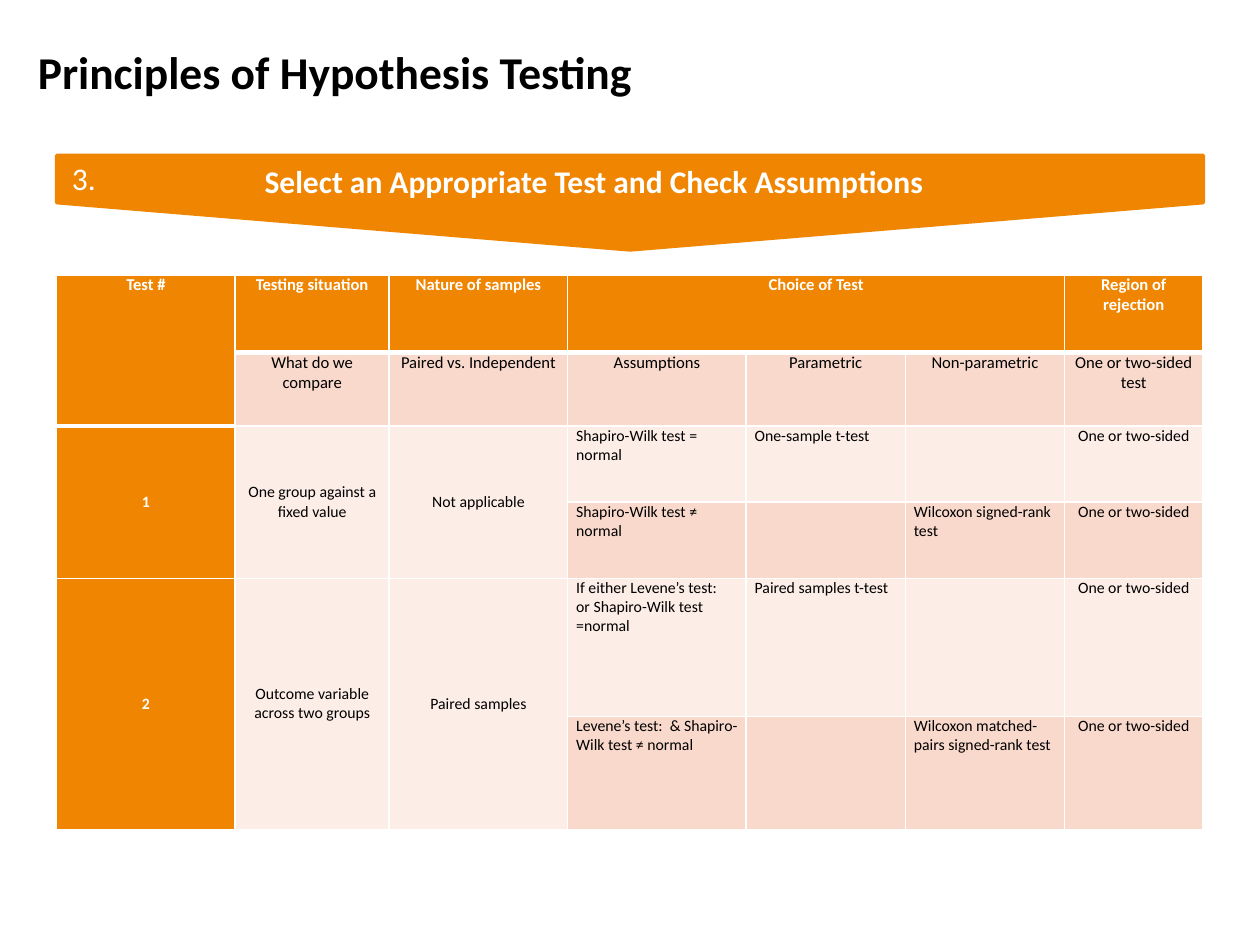
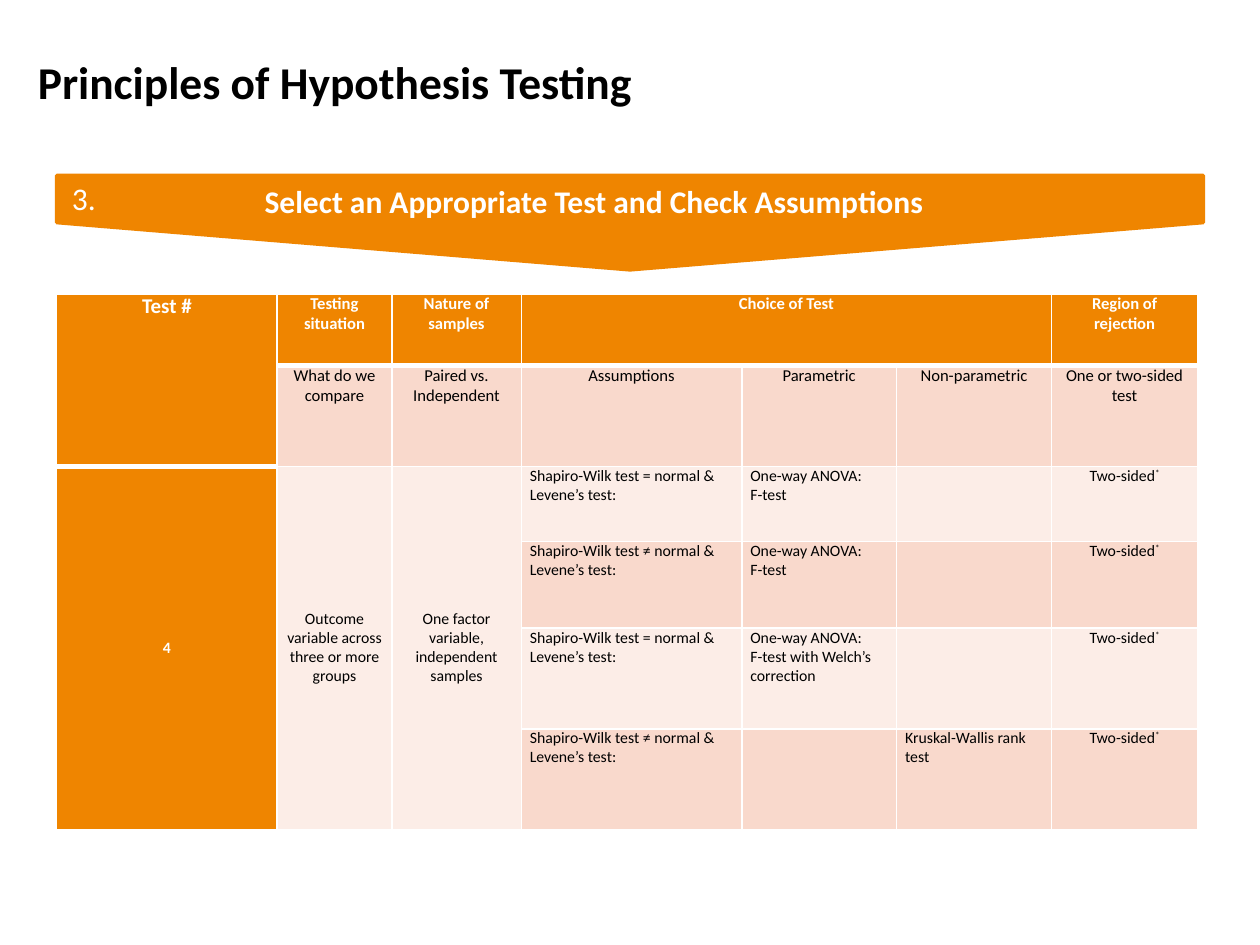
import pptx
import pptx.util
import pptx.dml.color
import pptx.enum.shapes
import pptx.enum.text
import pptx.oxml

Pt = pptx.util.Pt
ALIGN = pptx.enum.text.PP_ALIGN
ANCHOR = pptx.enum.text.MSO_ANCHOR
SHAPE = pptx.enum.shapes.MSO_SHAPE

ORANGE, PINK, PALE = "EF8500", "F9D9CC", "FCEDE7"
WHITE, BLACK = "FFFFFF", "000000"
FONT = "Calibri"
LEFT, WIDTH = 32.4, 655.2

TITLE = "Principles of Hypothesis Testing"
STEP = "3."
BANNER = "Select an Appropriate Test and Check Assumptions"

# In the tables, None continues a merged cell and "" is an empty cell.
HEAD = [
    ["Test #", "Testing situation", "Nature of samples", "Choice of Test",
     None, None, "Region of rejection"],
    [None, "What do we compare", "Paired vs. Independent", "Assumptions",
     "Parametric", "Non-parametric", "One or two-sided test"],
]
SIDES = "One or two-sided"
TWO = "Two-sided*"
EQUAL = "Shapiro-Wilk test = normal &\nLevene’s test:"
DIFFER = "Shapiro-Wilk test ≠ normal &\nLevene’s test:"
ANOVA = "One-way ANOVA:\vF-test"

SLIDES = [
    {
        "title_high": 65, "band_top": 88.8, "table_top": 157, "corner": 9.5,
        "cols": [102, 88, 102, 102, 91, 91, 79],
        "rows": [44.5, 42, 43.5, 43.5, 79, 64.5],
        "body": [
            ["1", "One group against a fixed value", "Not applicable",
             "Shapiro-Wilk test = normal", "One-sample t-test", "", SIDES],
            [None, None, None,
             "Shapiro-Wilk test ≠ normal", "", "Wilcoxon signed-rank test", SIDES],
            ["2", "Outcome variable across two groups", "Paired samples",
             "If either Levene’s test:  or Shapiro-Wilk test =normal",
             "Paired samples t-test", "", SIDES],
            [None, None, None, "Levene’s test:  & Shapiro-Wilk test ≠ normal",
             "", "Wilcoxon matched-pairs signed-rank test", SIDES],
        ],
    },
    {
        "title_high": 76, "band_top": 100.2, "table_top": 168, "corner": 12,
        "cols": [126, 65.5, 74, 126, 88.5, 88.5, 83.5],
        "rows": [41, 57.5, 43, 49.5, 57.5, 57.5],
        "body": [
            ["4", "Outcome variable across three or more groups",
             "One factor variable,\nindependent samples", EQUAL, ANOVA, "", TWO],
            [None, None, None, DIFFER, ANOVA, "", TWO],
            [None, None, None, EQUAL, ANOVA + " with Welch’s correction", "", TWO],
            [None, None, None, DIFFER, "", "Kruskal-Wallis rank test", TWO],
        ],
    },
]


def color(code):
    return pptx.dml.color.RGBColor.from_string(code)


def assign(item, values):
    for name, value in values.items():
        setattr(item, name, value)


def write(frame, text, size, ink, bold=False, align=ALIGN.CENTER):
    """Fill a text frame; a closing asterisk is raised."""
    note = text.endswith("*")
    frame.text = text.rstrip("*")
    if note:
        star = frame.paragraphs[-1].add_run()
        star.text = "*"
        star.font._element.set("baseline", "30000")
    for para in frame.paragraphs:
        para.alignment = align
        for run in para.runs:
            assign(run.font, {"name": FONT, "size": Pt(size), "bold": bold})
            run.font.color.rgb = color(ink)


def add_block(slide, kind, box, line):
    block = slide.shapes.add_shape(kind, *map(Pt, box))
    block.shadow.inherit = False
    block.fill.solid()
    block.fill.fore_color.rgb = color(ORANGE)
    block.line.color.rgb = color(ORANGE)
    block.line.width = Pt(line)
    return block


def add_title(slide, high):
    title = slide.shapes.title
    assign(title, {"left": Pt(14.4), "top": Pt(10),
                   "width": Pt(692), "height": Pt(high)})
    frame = title.text_frame
    write(frame, TITLE, 26, BLACK, True, ALIGN.LEFT)
    assign(frame, {"vertical_anchor": ANCHOR.MIDDLE, "margin_bottom": Pt(7),
                   "auto_size": pptx.enum.text.MSO_AUTO_SIZE.NONE})


def add_band(slide, top):
    """Draw the numbered banner, a pentagon turned to point down."""
    high = 54
    box = (LEFT + (WIDTH - high) / 2, top - (WIDTH - high) / 2, high, WIDTH)
    add_block(slide, SHAPE.PENTAGON, box, 2).rotation = 90
    step = add_block(slide, SHAPE.RECTANGLE, (LEFT, top, 31, 26), 0.75)
    write(step.text_frame, STEP, 18, WHITE)
    step.text_frame.vertical_anchor = ANCHOR.MIDDLE
    label = slide.shapes.add_textbox(Pt(129.5), Pt(top), Pt(420), Pt(29))
    label.text_frame.word_wrap = True
    write(label.text_frame, BANNER, 18, WHITE, True)


def is_thick(r, c):
    return r == 0 or (r == 1 and c == 0)


def set_edges(cell, r, c):
    """Give a cell white borders, heavy below the header cells."""
    heavy = {"T": is_thick(r - 1, c), "B": is_thick(r, c)}
    for place, side in enumerate("LRTB"):
        wide = Pt(3 if heavy.get(side) else 1)
        edge = pptx.oxml.parse_xml(
            f'<a:ln{side} xmlns:a="http://schemas.openxmlformats.org/drawingml/2006/main"'
            f' w="{wide}"><a:solidFill><a:srgbClr val="{WHITE}"/></a:solidFill>'
            f'</a:ln{side}>')
        cell._tc.get_or_add_tcPr().insert(place, edge)


def merge(table, grid, r, c):
    """Join a cell with the None entries below it and to its right."""
    down, right = r, c
    while down + 1 < len(grid) and grid[down + 1][c] is None:
        down += 1
    while right + 1 < len(grid[r]) and grid[r][right + 1] is None:
        right += 1
    if (down, right) != (r, c):
        table.cell(r, c).merge(table.cell(down, right))


def add_grid(slide, part):
    grid = HEAD + part["body"]
    cols, rows = part["cols"], part["rows"]
    table = slide.shapes.add_table(
        len(rows), len(cols), Pt(LEFT), Pt(part["table_top"]),
        Pt(sum(cols)), Pt(sum(rows))).table
    assign(table, {"first_row": False, "horz_banding": False})
    for col, wide in zip(table.columns, cols):
        col.width = Pt(wide)
    for row, high in zip(table.rows, rows):
        row.height = Pt(high)
    for r, line in enumerate(grid):
        for c, text in enumerate(line):
            cell = table.cell(r, c)
            head = r == 0 or c == 0
            body = r >= len(HEAD)
            middle = body and c < 3
            assign(cell, {
                "margin_left": Pt(4.9), "margin_right": Pt(4.9),
                "margin_top": 0, "margin_bottom": 0,
                "vertical_anchor": ANCHOR.MIDDLE if middle else ANCHOR.TOP})
            cell.fill.solid()
            cell.fill.fore_color.rgb = color(
                ORANGE if head else PINK if r % 2 else PALE)
            set_edges(cell, r, c)
            if text:
                size = part["corner"] if r == c == 0 else 9 if body else 9.5
                align = ALIGN.LEFT if body and 3 <= c <= 5 else ALIGN.CENTER
                write(cell.text_frame, text, size,
                      WHITE if head else BLACK, head, align)
                merge(table, grid, r, c)


def main():
    deck = pptx.Presentation()
    assign(deck, {"slide_width": Pt(720), "slide_height": Pt(540)})
    for part in SLIDES:
        slide = deck.slides.add_slide(deck.slide_layouts[5])
        add_title(slide, part["title_high"])
        add_band(slide, part["band_top"])
        add_grid(slide, part)
    deck.save("out.pptx")


if __name__ == "__main__":
    main()
